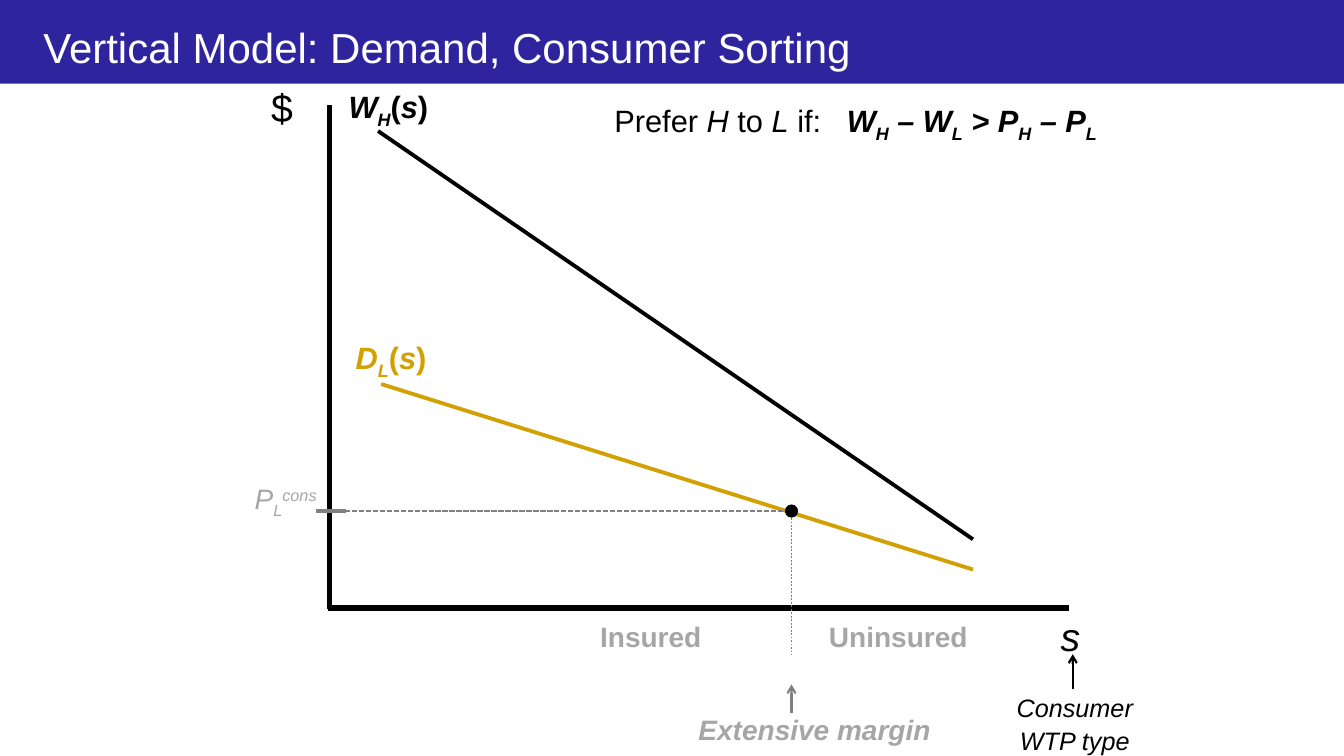
from dataclasses import dataclass

from lxml import etree
from pptx import Presentation
from pptx import util as u
from pptx.dml.color import RGBColor
from pptx.enum import dml, shapes, text
from pptx.oxml import ns

PX = 9144


@dataclass(frozen=True)
class Theme:
    font: str = "Arial"
    band: str = "2E249E"
    white: str = "FFFFFF"
    black: str = "000000"
    gold: str = "D2A000"
    gray: str = "808080"
    pale: str = "A6A6A6"
    title: int = 30
    axis: int = 28
    curve: int = 22
    note: int = 20
    small: int = 18


T = Theme()
LEFT, MID, RIGHT = text.PP_ALIGN.LEFT, text.PP_ALIGN.CENTER, text.PP_ALIGN.RIGHT
SHIFT = {"_": "-25000", "^": "30000"}


def px(*nums):
    return [u.Emu(n * PX) for n in nums]


def rgb(code):
    return RGBColor.from_string(code)


def write(frame, runs, size, color=T.black, align=LEFT, lead=None, after=None):
    para = frame.paragraphs[0]
    para.alignment = align
    para.line_spacing = lead
    para.space_after = None if after is None else u.Pt(after)
    for words, style in runs:
        run = para.add_run()
        run.text = words
        font = run.font
        font.name, font.size = T.font, u.Pt(size)
        font.color.rgb = rgb(color)
        font.bold, font.italic = "b" in style, "i" in style
        for mark, base in SHIFT.items():
            if mark in style:
                font._element.set("baseline", base)
        if "w" in style:
            font._element.set("spc", "1220")


def label(slide, box, runs, size, **form):
    frame = slide.shapes.add_textbox(*px(*box)).text_frame
    frame.word_wrap = True
    write(frame, runs, size, **form)


def line(slide, start, end, width, color=T.black, dash=None, arrow=False):
    link = slide.shapes.add_connector(
        shapes.MSO_CONNECTOR.STRAIGHT, *px(*start, *end))
    link.line.width = u.Pt(width)
    link.line.color.rgb = rgb(color)
    if dash:
        link.line.dash_style = dash
    if arrow:
        etree.SubElement(link.line._get_or_add_ln(), ns.qn("a:tailEnd"), type="arrow")
    etree.SubElement(link._element.spPr, ns.qn("a:effectLst"))


def solid(slide, kind, box, color):
    shape = slide.shapes.add_shape(kind, *px(*box))
    shape.shadow.inherit = False
    shape.fill.solid()
    shape.fill.fore_color.rgb = rgb(color)
    shape.line.color.rgb = rgb(color)
    shape.line.width = u.Pt(0.75)
    return shape


def head(slide, words):
    band = solid(slide, shapes.MSO_SHAPE.RECTANGLE, (0, 0, 1333, 83), T.band)
    band.line.fill.background()
    slide.shapes._spTree.insert(2, band._element)
    title = slide.shapes.title
    title.left, title.top, title.width, title.height = px(33, 17, 1278, 58)
    title.text_frame.vertical_anchor = text.MSO_ANCHOR.MIDDLE
    write(title.text_frame, [(words, "")], T.title, color=T.white)


def axes(slide):
    line(slide, (327, 104), (327, 604), 4)
    line(slide, (1060, 603), (325, 603), 4)
    label(slide, (259, 74, 65, 82), [("$", "")], T.axis, lead=1.07, after=8)
    label(slide, (1042, 599, 52, 54), [("s", "i")], T.axis, lead=1.07, after=8)


def curve(slide, start, end, box, name, sub, color):
    line(slide, end, start, 2.75, color)
    runs = [(name, "bi"), (sub, "bi_"), ("(", "b"), ("s", "bi"), (")", "b")]
    label(slide, box, runs, T.curve, color=color)


def margin(slide, x, y):
    dash = dml.MSO_LINE
    line(slide, (328, y), (x, y), 1.25, T.gray, dash.SQUARE_DOT)
    line(slide, (313, y), (343, y), 3, T.gray)
    line(slide, (x, y), (x, 650), 1.25, T.gray, dash.ROUND_DOT)
    solid(slide, shapes.MSO_SHAPE.OVAL, (x - 6, y - 6, 12, 12), T.black)
    label(slide, (218, 473, 106, 44), [("P", "i"), ("L", "i_"), ("cons", "i^")],
          T.note, color=T.pale, align=RIGHT)
    for box, words, style in (
        ((507, 610, 277, 44), "Insured", "b"),
        ((x, 610, 212, 44), "Uninsured", "b"),
        ((681, 702, 254, 44), "Extensive margin", "bi"),
    ):
        label(slide, box, [(words, style)], T.note, color=T.pale, align=MID)
    line(slide, (x, 707), (x, 679), 1.5, T.gray, arrow=True)


def main():
    deck = Presentation()
    deck.slide_width, deck.slide_height = px(1333, 750)
    slide = deck.slides.add_slide(deck.slide_layouts[5])
    head(slide, "Vertical Model: Demand, Consumer Sorting")
    axes(slide)
    curve(slide, (375, 130), (965, 535), (336, 82, 109, 47), "W", "H", T.black)
    curve(slide, (378, 381), (965, 565), (343, 331, 128, 47), "D", "L", T.gold)
    margin(slide, 785, 507)
    label(slide, (979, 679, 174, 74), [("Consumer WTP type", "i")],
          T.small, align=MID, lead=1.1)
    line(slide, (1064, 684), (1064, 649), 1.5, arrow=True)
    rule = [("Prefer ", ""), ("H", "i"), (" to ", ""), ("L", "i"), (" if:", ""),
            (" ", "w"), ("W", "bi"), ("H", "bi_"), (" – W", "bi"), ("L", "bi_"),
            (" > P", "bi"), ("H", "bi_"), (" – P", "bi"), ("L ", "bi_")]
    label(slide, (583, 96, 536, 47), rule, T.curve, align=MID)
    deck.save("out.pptx")


if __name__ == "__main__":
    main()
